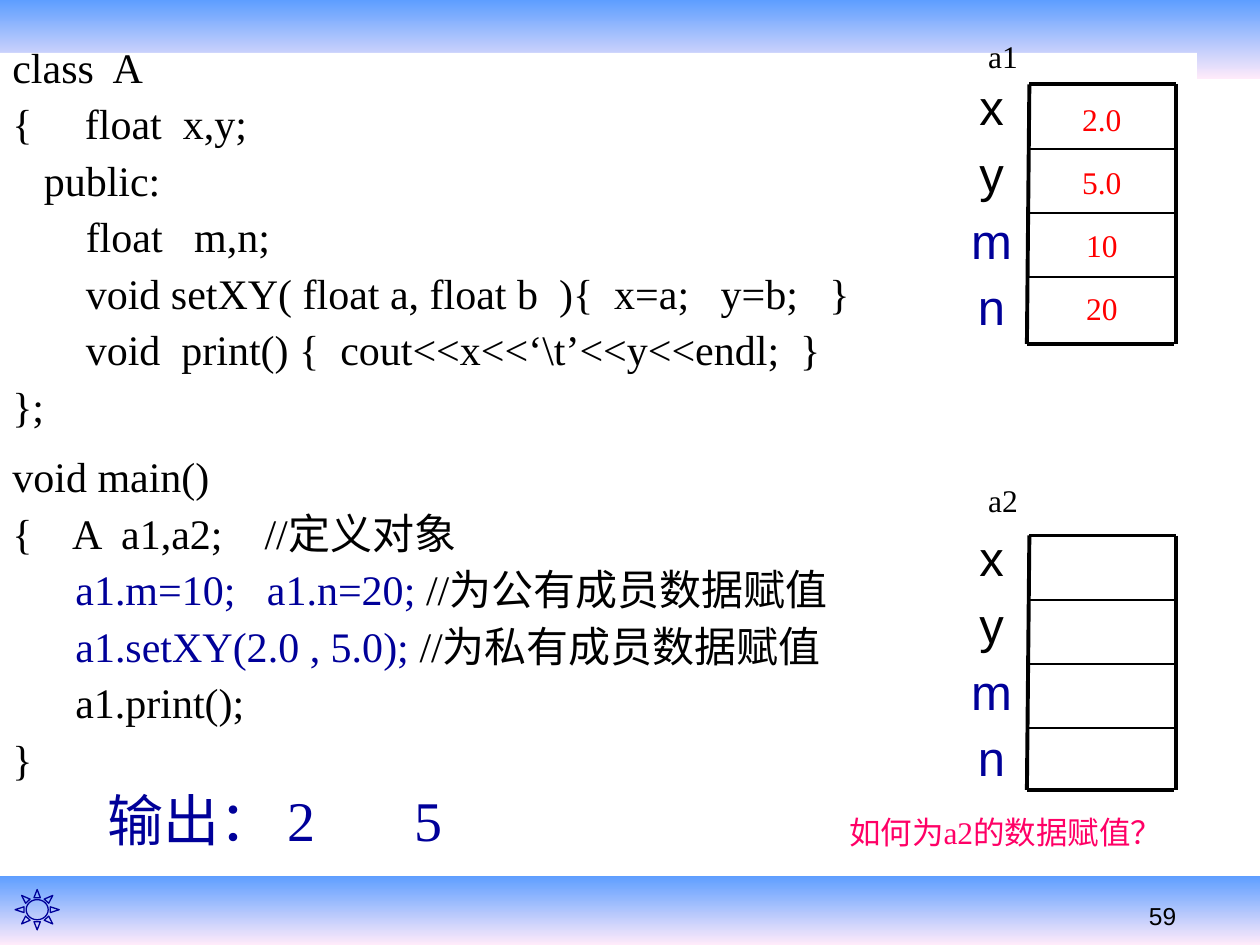
from lxml import etree
from pptx import Presentation
from pptx.dml.color import RGBColor
from pptx.enum.shapes import MSO_CONNECTOR, MSO_SHAPE
from pptx.enum.text import MSO_ANCHOR, MSO_AUTO_SIZE, PP_ALIGN
from pptx.oxml.ns import qn
from pptx.util import Inches, Pt

SERIF, SANS = "Times New Roman", "Arial"
BLACK, WHITE, NAVY, RED, PINK = "000000", "FFFFFF", "000099", "FF0000", "FF0066"
SKY, BLUSH = "5E9EFF", "FFEBFA"

CLASS_CODE = [
    "class  A",
    "{     float  x,y;",
    "   public:",
    "       float   m,n;",
    "       void setXY( float a, float b  ){  x=a;   y=b;   }",
    "       void  print() {  cout<<x<<‘\\t’<<y<<endl;  }",
    "};",
]
MAIN_CODE = [
    "void main()",
    "{    A  a1,a2;    //定义对象",
    [("      ", BLACK), ("a1.m=10;   a1.n=20; ", NAVY), ("//为公有成员数据赋值", BLACK)],
    [("      ", BLACK), ("a1.setXY(2.0 , 5.0); ", NAVY), ("//为私有成员数据赋值", BLACK)],
    "      a1.print();",
    "}",
]
MEMBERS = [("x", BLACK), ("y", BLACK), ("m", NAVY), ("n", NAVY)]


def rgb(value):
    return RGBColor.from_string(value)


def add_shape(shapes, kind, box, fill=None, line=None):
    sp = shapes.add_shape(kind, *map(Inches, box))
    sp.shadow.inherit = False
    if fill:
        sp.fill.solid()
        sp.fill.fore_color.rgb = rgb(fill)
    else:
        sp.fill.background()
    if line:
        sp.line.color.rgb = rgb(line)
        sp.line.width = Pt(0.75)
    else:
        sp.line.fill.background()
    return sp


def add_band(shapes, top, height):
    sp = add_shape(shapes, MSO_SHAPE.RECTANGLE, (0, top, 10, height))
    sp.fill.gradient()
    sp.fill.gradient_angle = 270
    for stop, color in zip(sp.fill.gradient_stops, (SKY, BLUSH)):
        stop.color.rgb = rgb(color)


def add_line(shapes, start, end, width):
    ln = shapes.add_connector(MSO_CONNECTOR.STRAIGHT, *map(Inches, start + end))
    ln.line.color.rgb = rgb(BLACK)
    ln.line.width = Pt(width)
    etree.SubElement(ln._element.spPr, qn("a:effectLst"))


def add_text(shapes, box, lines, size, font=SERIF, color=BLACK, align=PP_ALIGN.LEFT,
             margins=(0.02, 0.01), spacing=None, before=0, wrap=True,
             anchor=MSO_ANCHOR.TOP, tab=None):
    """Each line is a string or a list of (text, colour) runs."""
    tf = shapes.add_textbox(*map(Inches, box)).text_frame
    tf.word_wrap = wrap
    tf.auto_size = MSO_AUTO_SIZE.NONE if wrap else MSO_AUTO_SIZE.SHAPE_TO_FIT_TEXT
    tf.vertical_anchor = anchor
    tf.margin_left = tf.margin_right = Inches(margins[0])
    tf.margin_top = tf.margin_bottom = Inches(margins[1])
    for i, line in enumerate(lines):
        p = tf.paragraphs[0] if i == 0 else tf.add_paragraph()
        if tab:
            tabs = etree.SubElement(p._p.get_or_add_pPr(), qn("a:tabLst"))
            etree.SubElement(tabs, qn("a:tab"), pos=str(Inches(tab)), algn="l")
        p.alignment = align
        if spacing:
            p.line_spacing = spacing
        if i:
            p.space_before = Pt(before)
        for text, run_color in [(line, color)] if isinstance(line, str) else line:
            r = p.add_run()
            r.text = text
            r.font.size = Pt(size)
            r.font.name = font
            r.font.color.rgb = rgb(run_color)


def add_code(shapes, box, lines):
    add_text(shapes, box, lines, 24, margins=(0.1, 0.05), spacing=0.6, before=15)


def add_object(slide, name, name_top, top, height, values=(), cell_fill=None):
    """Memory diagram: a framed stack of cells with a member name beside each."""
    shapes = slide.shapes.add_group_shape().shapes
    left, right, row = 8.17, 9.33, 0.51
    bottom = top + height

    # Cells
    if cell_fill:
        for i in range(len(MEMBERS)):
            add_shape(shapes, MSO_SHAPE.RECTANGLE, (left, top + i * row, 1.17, row), cell_fill)

    # Frame and dividers
    for i in range(len(MEMBERS)):
        y = top + i * row
        add_line(shapes, (left, y), (right, y), 1 if i else 2.25)
    add_line(shapes, (left - 0.02, bottom), (right - 0.01, bottom), 2.25)
    add_line(shapes, (left, top), (left - 0.02, bottom), 2.25)
    add_line(shapes, (right, top), (right, bottom), 2.25)

    # Object name, member names and values
    add_text(shapes, (7.75, name_top, 0.42, 0.35), [name], 18,
             align=PP_ALIGN.CENTER, spacing=1.1)
    for i, (member, color) in enumerate(MEMBERS):
        add_text(shapes, (7.58, top - 0.09 + i * 0.53, 0.58, 0.52), [member], 28, SANS, color,
                 PP_ALIGN.CENTER, anchor=MSO_ANCHOR.MIDDLE)
    for i, value in enumerate(values):
        add_text(shapes, (8.33, top + 0.08 + i * 0.5, 0.83, 0.35), [value], 18, color=RED,
                 align=PP_ALIGN.CENTER, spacing=1.1)


def main():
    prs = Presentation()
    prs.slide_width, prs.slide_height = Inches(10), Inches(7.5)
    s = prs.slides.add_slide(prs.slide_layouts[6])

    # Gradient bands and page number
    add_band(s.shapes, 0, 0.63)
    add_band(s.shapes, 6.95, 0.55)
    add_text(s.shapes, (9.02, 7.1, 1.09, 0.34), ["59"], 14, SANS,
             margins=(0.1, 0.05), wrap=False)

    # Code on a white panel, and its output
    add_shape(s.shapes, MSO_SHAPE.RECTANGLE, (0, 0.42, 9.5, 3.03), WHITE)
    add_code(s.shapes, (0, 0.42, 9.5, 3.03), CLASS_CODE)
    add_code(s.shapes, (0, 3.67, 7.42, 2.59), MAIN_CODE)
    add_text(s.shapes, (0.83, 6.17, 4.17, 0.61), ["输出： 2\t5"], 32, color=NAVY,
             spacing=1.1, tab=2.44)
    add_shape(s.shapes, MSO_SHAPE.SUN, (0.12, 7.06, 0.35, 0.32), line=NAVY)

    # Object diagrams and question
    add_object(s, "a1", 0.25, 0.67, 2.06, ["2.0", "5.0", "10", "20"])
    add_object(s, "a2", 3.78, 4.25, 2.02, cell_fill=WHITE)
    add_text(s.shapes, (6.64, 6.4, 2.8, 0.4), ["如何为a2的数据赋值？"], 18, color=PINK,
             margins=(0.1, 0.05), wrap=False)

    prs.save("out.pptx")


if __name__ == "__main__":
    main()
